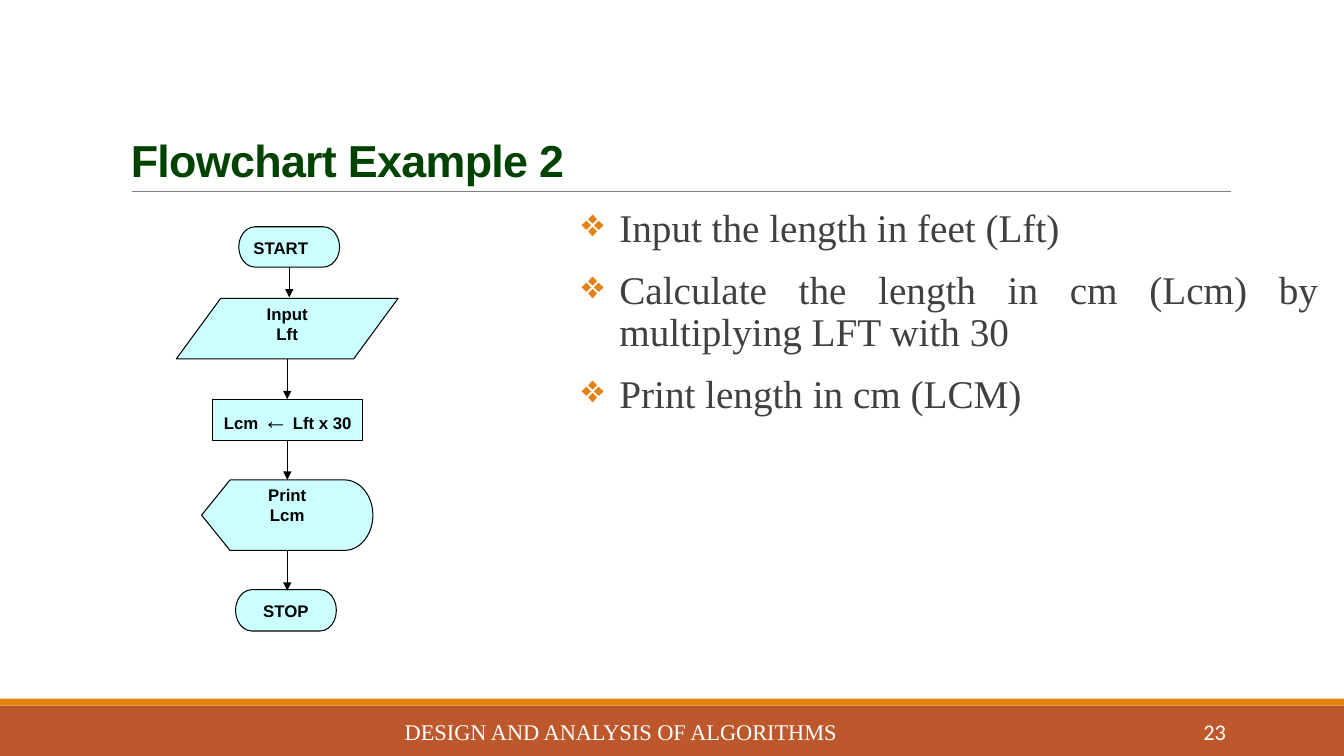
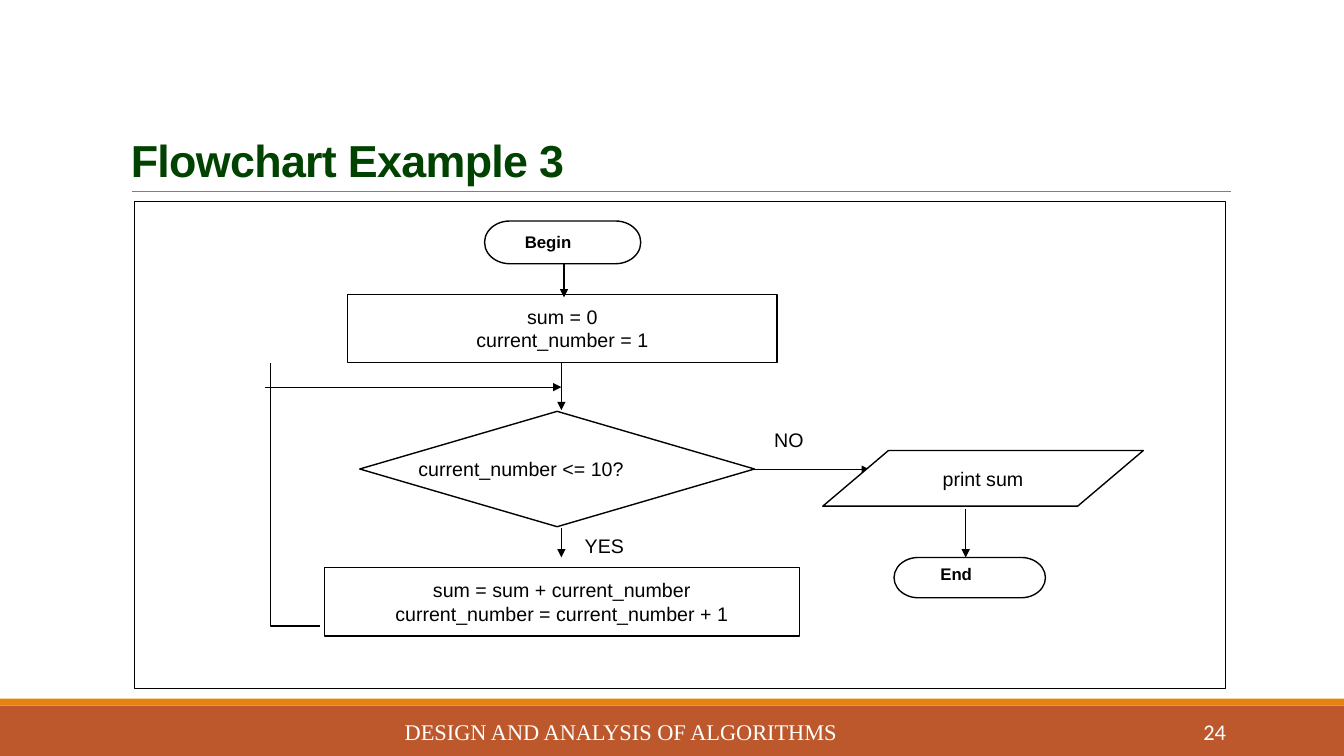
from lxml import etree
from pptx import Presentation
from pptx.dml.color import RGBColor
from pptx.enum import shapes, text
from pptx.oxml.ns import qn
from pptx.util import Pt

COLORS = {
    "band": "BD582C", "accent": "E48312", "rule": "808080", "title": "004200",
    "body": "404040", "cyan": "CCFFFF", "white": "FFFFFF", "black": "000000",
}
SHAPE = shapes.MSO_SHAPE
LEFT, CENTER, RIGHT, JUSTIFY = (
    text.PP_ALIGN.LEFT, text.PP_ALIGN.CENTER, text.PP_ALIGN.RIGHT, text.PP_ALIGN.JUSTIFY)
TOP, MIDDLE, BOTTOM = (
    text.MSO_ANCHOR.TOP, text.MSO_ANCHOR.MIDDLE, text.MSO_ANCHOR.BOTTOM)
INSETS = (7.2, 3.6, 7.2, 3.6)


def rgb(name):
    return RGBColor.from_string(COLORS[name])


class Deck:
    def __init__(self):
        self.prs = Presentation()
        self.prs.slide_width, self.prs.slide_height = Pt(960), Pt(540)
        self.s = None

    def slide(self, title, number):
        self.s = self.prs.slides.add_slide(self.prs.slide_layouts[6])
        self.shape(SHAPE.RECTANGLE, (0, 504, 960, 36), "band", None)
        self.shape(SHAPE.RECTANGLE, (0, 499, 960, 5), "accent", None)
        self.line((94.3, 136.8), (879.1, 136.8), "rule", 0.5, arrow=False)
        sp = self.text(title, (86.4, 22.3, 792, 114.5), 32, bold=True,
                       color="title", anchor=BOTTOM)
        p = sp.text_frame.paragraphs[0]
        p.line_spacing = 0.85
        p.runs[0]._r.get_or_add_rPr().set("spc", "-50")
        self.text("DESIGN AND ANALYSIS OF ALGORITHMS", (264.2, 508.3, 358.6, 28.8), 16,
                  font="Times New Roman", color="white", align=CENTER, anchor=MIDDLE)
        self.text(str(number), (779.8, 508.3, 103, 28.8), 16,
                  font="Calibri", color="white", align=RIGHT, anchor=MIDDLE)

    def set_text(self, sp, content, size, font="Arial", bold=False, color="black",
                 align=LEFT, anchor=TOP, insets=INSETS, wrap=True):
        tf = sp.text_frame
        tf.text = content
        tf.word_wrap = wrap
        tf.vertical_anchor = anchor
        tf.margin_left, tf.margin_top, tf.margin_right, tf.margin_bottom = map(Pt, insets)
        for p in tf.paragraphs:
            p.alignment = align
            for r in p.runs:
                r.font.size, r.font.name, r.font.bold = Pt(size), font, bold
                r.font.color.rgb = rgb(color)
        return sp

    def text(self, content, box, size, **style):
        return self.set_text(self.s.shapes.add_textbox(*map(Pt, box)), content, size, **style)

    def label(self, content, box):
        return self.text(content, box, 14, insets=(8, 4.3, 8, 4.3), wrap=False)

    def paint(self, sp, fill, line, width):
        sp.shadow.inherit = False
        if fill:
            sp.fill.solid()
            sp.fill.fore_color.rgb = rgb(fill)
        else:
            sp.fill.background()
        if line:
            sp.line.color.rgb = rgb(line)
            sp.line.width = Pt(width)
        else:
            sp.line.fill.background()
        return sp

    def shape(self, kind, box, fill=None, line="black", width=0.75):
        sp = self.s.shapes.add_shape(kind, *map(Pt, box))
        return self.paint(sp, fill, line, width)

    def step(self, kind, box, content, fill="cyan", width=0.75, size=12, bold=True,
             align=CENTER, **style):
        sp = self.shape(kind, box, fill, width=width)
        return self.set_text(sp, content, size, bold=bold, align=align, **style)

    def line(self, start, end, color="black", width=0.75, arrow=True):
        c = self.s.shapes.add_connector(
            shapes.MSO_CONNECTOR.STRAIGHT, *map(Pt, start + end))
        c.line.color.rgb = rgb(color)
        c.line.width = Pt(width)
        spPr = c._element.spPr
        if arrow:
            etree.SubElement(spPr.find(qn("a:ln")), qn("a:tailEnd"), type="triangle")
        etree.SubElement(spPr, qn("a:effectLst"))

    def polyline(self, points, width):
        first, *rest = [tuple(map(Pt, point)) for point in points]
        fb = self.s.shapes.build_freeform(*first)
        fb.add_line_segments(rest, close=False)
        return self.paint(fb.convert_to_shape(), None, "black", width)

    def bullets(self, items, box):
        sp = self.text("\n".join(items), box, 28, font="Times New Roman", color="body",
                       align=JUSTIFY, insets=(0, 3.6, 0, 3.6))
        for i, p in enumerate(sp.text_frame.paragraphs):
            pPr = p._p.get_or_add_pPr()
            pPr.set("marL", str(Pt(27)))
            pPr.set("indent", str(-Pt(27)))
            clr = etree.SubElement(pPr, qn("a:buClr"))
            etree.SubElement(clr, qn("a:srgbClr"), val=COLORS["accent"])
            etree.SubElement(pPr, qn("a:buChar"), char="❖")
            p.line_spacing = 0.9
            p.space_before = Pt(12 if i else 0)
            p.space_after = Pt(2)


def feet_to_cm(d):
    d.slide("Flowchart Example 2", 23)
    d.bullets(["Input the length in feet (Lft)",
               "Calculate the length in cm (Lcm) by multiplying LFT with 30",
               "Print length in cm (LCM)"], (415.4, 145.4, 526.3, 316.8))
    d.step(SHAPE.FLOWCHART_TERMINATOR, (170.6, 162, 72, 28.8), "START", align=LEFT)
    d.step(SHAPE.FLOWCHART_DATA, (126, 213.1, 158.4, 43.2), "Input\nLft")
    sp = d.step(SHAPE.FLOWCHART_PROCESS, (151.9, 285.6, 107.3, 28.8), "Lcm ")
    p = sp.text_frame.paragraphs[0]
    for content, size, bold in (("←", 18, False), (" Lft x 30", 12, True)):
        r = p.add_run()
        r.text = content
        r.font.size, r.font.name, r.font.bold = Pt(size), "Arial", bold
        r.font.color.rgb = rgb("black")
    d.step(SHAPE.FLOWCHART_DISPLAY, (144, 342.8, 122.4, 50.4), "Print\nLcm")
    d.step(SHAPE.FLOWCHART_TERMINATOR, (168.3, 421.2, 72, 29.5), "STOP")
    for x, top, bottom in ((206.6, 190.8, 212.4), (205.2, 256.3, 285.1),
                           (205.2, 314.2, 342.7), (205.2, 393.1, 421.9)):
        d.line((x, top), (x, bottom))


def sum_to_ten(d):
    outline = dict(fill="white", width=1)
    process = dict(fill=None, width=1, size=14, bold=False, anchor=MIDDLE)
    d.slide("Flowchart Example 3", 24)
    d.shape(SHAPE.RECTANGLE, (95.8, 144, 779.8, 347.8))
    d.polyline([(193.2, 259.2), (193.2, 447.3), (228.6, 447.3)], 1)
    d.shape(SHAPE.FLOWCHART_DECISION, (257, 293.8, 282, 82.4), width=1)
    for start, end, width in (((402.9, 188.6), (402.9, 212.4), 1),
                              ((401, 259.2), (401, 293), 1),
                              ((401, 377.3), (401, 398.2), 0.75),
                              ((189.4, 276.5), (401, 276.5), 0.75),
                              ((537.1, 335.5), (621.4, 335.5), 0.75),
                              ((689.8, 363.6), (689.8, 398.2), 0.75)):
        d.line(start, end, width=width)
    d.step(SHAPE.FLOWCHART_TERMINATOR, (346.1, 157.9, 111.6, 30.5), "Begin",
           align=LEFT, insets=(23.5, 3.6, 0, 0), **outline)
    d.step(SHAPE.FLOWCHART_TERMINATOR, (638.6, 398.2, 108.2, 28.8), "End",
           align=LEFT, insets=(28, 0, 0, 0), **outline)
    d.step(SHAPE.RECTANGLE, (248.4, 210.2, 306.7, 48.8),
           "sum = 0\ncurrent_number = 1", **process)
    d.step(SHAPE.RECTANGLE, (231.8, 405.4, 339.1, 48.8),
           "sum = sum + current_number\ncurrent_number = current_number + 1", **process)
    sp = d.step(SHAPE.PARALLELOGRAM, (587.7, 321.8, 229, 39.8), "print sum",
                **{**process, **outline})
    sp.adjustments[0] = 1.18
    d.label("current_number <= 10?", (290.9, 321.8, 228.2, 28.8))
    d.label("NO", (545, 301, 52.6, 28.8))
    d.label("YES", (409.7, 377.3, 62.6, 28.8))


def main():
    d = Deck()
    feet_to_cm(d)
    sum_to_ten(d)
    d.prs.save("out.pptx")


if __name__ == "__main__":
    main()
